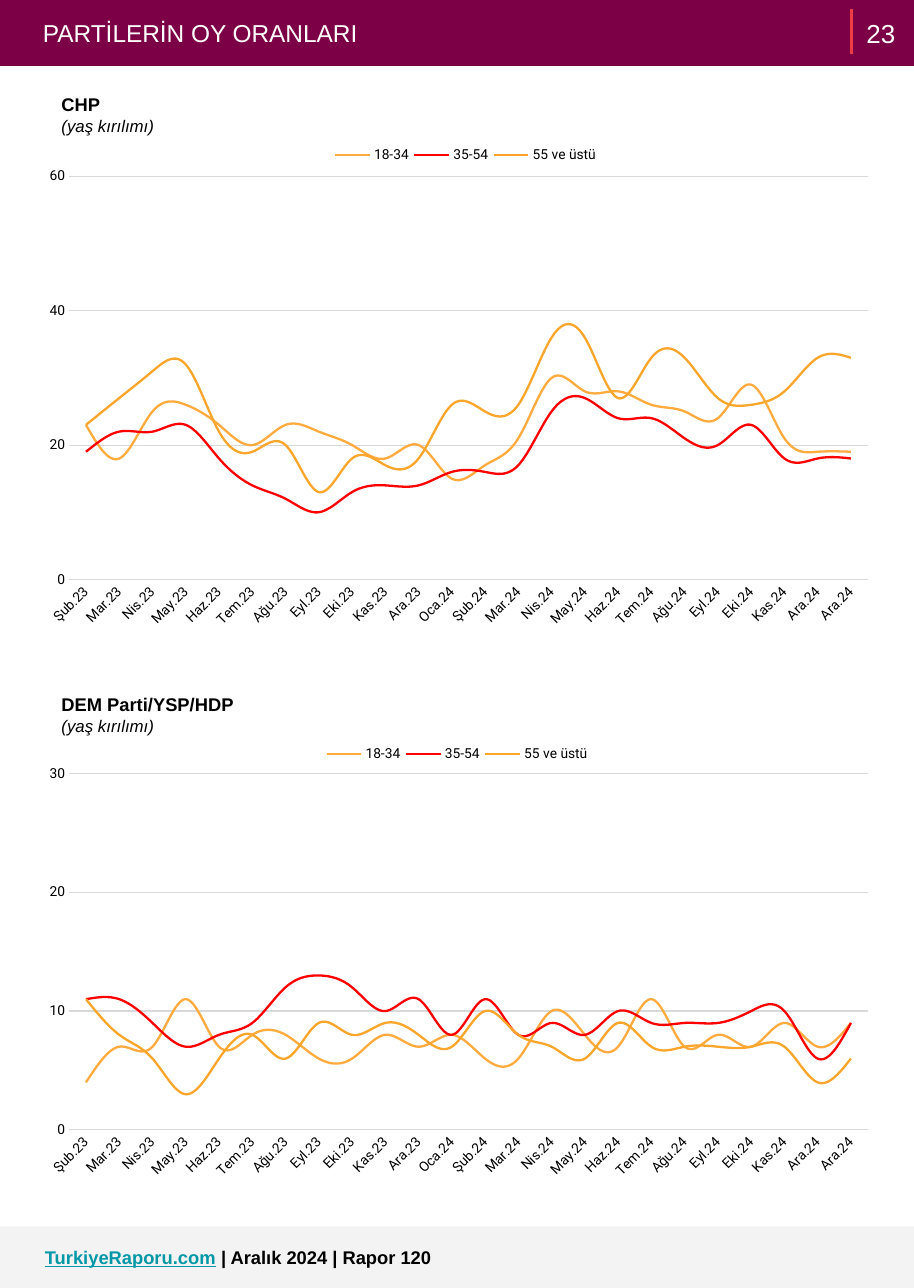
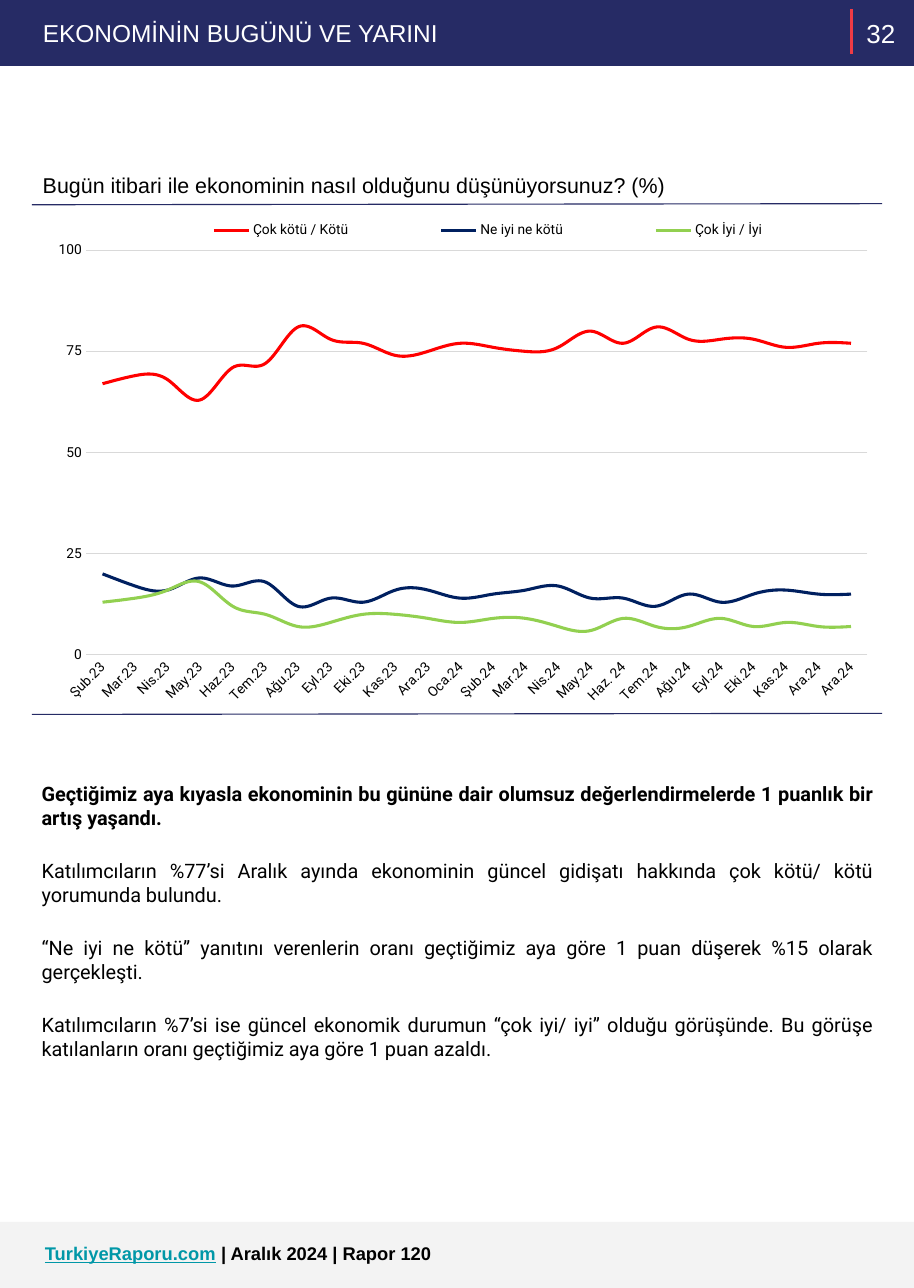
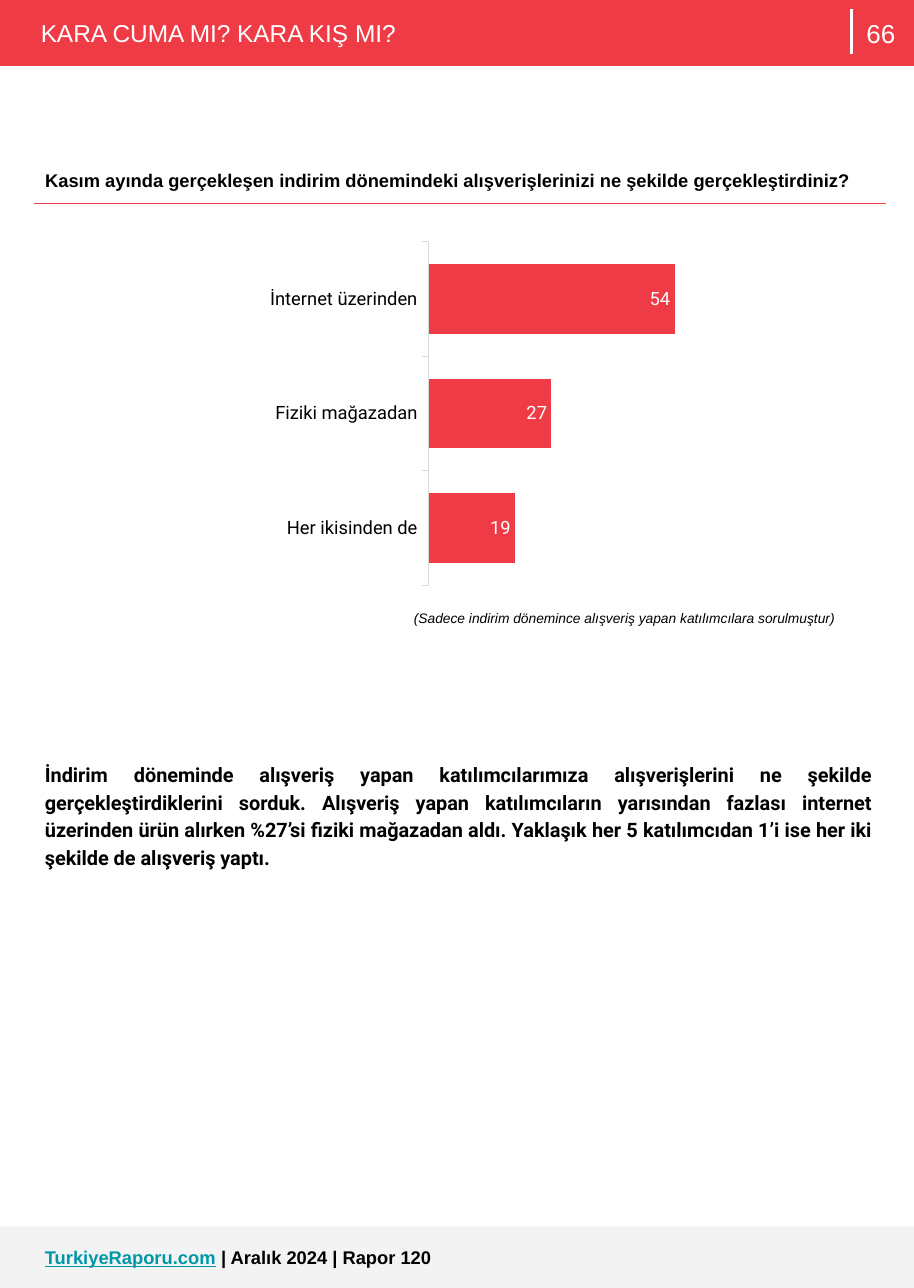
from lxml.etree import SubElement
from pptx import Presentation
from pptx.chart.data import CategoryChartData
from pptx.dml.color import RGBColor
from pptx.enum.chart import (XL_CHART_TYPE, XL_LABEL_POSITION,
                             XL_LEGEND_POSITION, XL_TICK_MARK)
from pptx.enum.shapes import MSO_CONNECTOR, MSO_SHAPE
from pptx.enum.text import MSO_ANCHOR, MSO_AUTO_SIZE, PP_ALIGN
from pptx.oxml.ns import qn
from pptx.util import Inches, Pt

WIDE, HIGH = 8.3, 11.7
BARE = "{2D5ABB26-0587-4C30-8999-92F81FD0307C}"  # table style without grid
HEX = {"plum": "7B0046", "navy": "262B65", "coral": "EF3B45",
       "white": "FFFFFF", "black": "000000", "pale": "F3F3F3",
       "grid": "D9D9D9", "teal": "0097A7", "amber": "FFAB40",
       "gold": "FAA62C", "red": "FF0000", "deep": "002060",
       "green": "92D050"}

MONTHS = ("Şub.23 Mar.23 Nis.23 May.23 Haz.23 Tem.23 Ağu.23 Eyl.23 "
          "Eki.23 Kas.23 Ara.23 Oca.24 Şub.24 Mar.24 Nis.24 May.24 "
          "Haz.24 Tem.24 Ağu.24 Eyl.24 Eki.24 Kas.24 Ara.24 Ara.24").split()
ECO_MONTHS = ["Haz. 24" if m == "Haz.24" else m for m in MONTHS]

AGES = [("18-34", "amber"), ("35-54", "red"), ("55 ve üstü", "gold")]
MOODS = [("Çok kötü / Kötü", "red"), ("Ne iyi ne kötü", "deep"),
         ("Çok İyi / İyi", "green")]

PARTIES = [
    dict(name="CHP", top=0.75, at=(0.29, 1.17, 7.72, 5.03), peak=60, step=20,
         plot=(0.044, 0.086, 0.939, 0.728), key=(0.35, 0.022, 0.32, 0.05),
         rows=[
             [23, 18, 25, 26, 23, 20, 23, 22, 20, 18, 20, 15,
              17, 21, 30, 28, 28, 26, 25, 24, 29, 21, 19, 19],
             [19, 22, 22, 23, 18, 14, 12, 10, 13, 14, 14, 16,
              16, 17, 25, 27, 24, 24, 21, 20, 23, 18, 18, 18],
             [23, 27, 31, 32, 22, 19, 20, 13, 18, 17, 18, 26,
              25, 26, 36, 36, 27, 33, 33, 27, 26, 28, 33, 33]]),
    dict(name="DEM Parti/YSP/HDP", top=6.2, at=(0.29, 6.63, 7.72, 4.51),
         peak=30, step=10,
         plot=(0.044, 0.088, 0.939, 0.718), key=(0.34, 0.024, 0.32, 0.05),
         rows=[
             [4, 7, 7, 11, 7, 8, 8, 6, 6, 8, 7, 8,
              6, 6, 10, 8, 7, 11, 7, 8, 7, 9, 7, 9],
             [11, 11, 9, 7, 8, 9, 12, 13, 12, 10, 11, 8,
              11, 8, 9, 8, 10, 9, 9, 9, 10, 10, 6, 9],
             [11, 8, 6, 3, 6, 8, 6, 9, 8, 9, 8, 7,
              10, 8, 7, 6, 9, 7, 7, 7, 7, 7, 4, 6]]),
]
ECONOMY = dict(
    at=(0.42, 1.88, 7.57, 5.05), peak=100, step=25,
    plot=(0.048, 0.078, 0.937, 0.728), key=(0.095, 0.017, 0.87, 0.05),
    rows=[
        [67, 69, 68, 63, 71, 72, 81, 78, 77, 74, 75, 77,
         76, 75, 76, 80, 77, 81, 78, 78, 78, 76, 77, 77],
        [20, 17, 16, 19, 17, 18, 12, 14, 13, 16, 16, 14,
         15, 16, 17, 14, 14, 12, 15, 13, 15, 16, 15, 15],
        [13, 14, 16, 18, 12, 10, 7, 8, 10, 10, 9, 8,
         9, 9, 7, 6, 9, 7, 7, 9, 7, 8, 7, 7]])
ASK = "Bugün itibari ile ekonominin nasıl olduğunu düşünüyorsunuz? (%)"
NOTES = [
    "Geçtiğimiz aya kıyasla ekonominin bu gününe dair olumsuz "
    "değerlendirmelerde 1 puanlık bir artış yaşandı.",
    "Katılımcıların %77’si Aralık ayında ekonominin güncel gidişatı "
    "hakkında çok kötü/ kötü yorumunda bulundu.",
    "“Ne iyi ne kötü” yanıtını verenlerin oranı geçtiğimiz aya göre "
    "1 puan düşerek %15 olarak gerçekleşti.",
    "Katılımcıların %7’si ise güncel ekonomik durumun “çok iyi/ iyi” olduğu "
    "görüşünde. Bu görüşe katılanların oranı geçtiğimiz aya göre 1 puan "
    "azaldı.",
]
SHOPS = [("İnternet üzerinden", 54), ("Fiziki mağazadan", 27),
         ("Her ikisinden de", 19)]
SHOP_ASK = ("Kasım ayında gerçekleşen indirim dönemindeki alışverişlerinizi "
            "ne şekilde gerçekleştirdiniz?")
SHOP_BASE = ("(Sadece indirim dönemince alışveriş yapan katılımcılara "
             "sorulmuştur)")
SHOP_NOTE = (
    "İndirim döneminde alışveriş yapan katılımcılarımıza alışverişlerini ne "
    "şekilde gerçekleştirdiklerini sorduk. Alışveriş yapan katılımcıların "
    "yarısından fazlası internet üzerinden ürün alırken %27’si fiziki "
    "mağazadan aldı. Yaklaşık her 5 katılımcıdan 1’i ise her iki şekilde de "
    "alışveriş yaptı.")


def rgb(name):
    return RGBColor.from_string(HEX[name])


def box(at):
    return [Inches(v) for v in at]


def style(font, size, color="black", face="Arial", bold=False,
          italic=False, line=False):
    font.size, font.name = Pt(size), face
    font.bold, font.italic, font.underline = bold, italic, line
    font.color.rgb = rgb(color)


def fill(frame, paras, align=PP_ALIGN.LEFT, space=0, lead=None):
    """Write paragraphs, each a list of (text, style) runs."""
    frame.word_wrap = True
    frame.margin_left = frame.margin_right = Inches(0.1)
    frame.margin_top = frame.margin_bottom = Inches(0.1)
    for i, runs in enumerate(paras):
        para = frame.add_paragraph() if i else frame.paragraphs[0]
        para.alignment = align
        if lead:
            para.line_spacing = lead
        if i and space:
            para.space_before = Pt(space)
        for text, look in runs:
            run = para.add_run()
            run.text = text
            style(run.font, **look)


def write(slide, at, paras, anchor=MSO_ANCHOR.TOP, **opts):
    frame = slide.shapes.add_textbox(*box(at)).text_frame
    frame.vertical_anchor = anchor
    fill(frame, paras, **opts)


def band(slide, top, high, color):
    shape = slide.shapes.add_shape(MSO_SHAPE.RECTANGLE,
                                   *box((0, top, WIDE, high)))
    shape.shadow.inherit = False
    shape.fill.solid()
    shape.fill.fore_color.rgb = rgb(color)
    shape.line.fill.background()


def rule(slide, ends, color, width):
    line = slide.shapes.add_connector(MSO_CONNECTOR.STRAIGHT, *box(ends))
    line.line.color.rgb = rgb(color)
    line.line.width = Pt(width)
    SubElement(line._element.spPr, qn("a:effectLst"))


def page(deck, title, number, color, mark="coral", foot=11.14, left=0.29):
    """Add a slide with its header band, title, page number and footer."""
    slide = deck.slides.add_slide(deck.slide_layouts[5])
    band(slide, 0, 0.6, color)
    band(slide, foot, HIGH - foot, "pale")
    rule(slide, (7.73, 0.08, 7.73, 0.49), mark, 2.25)
    head = slide.shapes.title
    slide.shapes._spTree.append(head._element)
    head.left, head.top, head.width, head.height = box((left, 0.06, 7, 0.47))
    head.text_frame.auto_size = MSO_AUTO_SIZE.NONE
    head.text_frame.vertical_anchor = MSO_ANCHOR.TOP
    fill(head.text_frame, [[(title, dict(size=16, color="white"))]])
    write(slide, (7.73, -0.15, 0.54, 0.9),
          [[(number, dict(size=17, color="white"))]],
          anchor=MSO_ANCHOR.MIDDLE, align=PP_ALIGN.CENTER)
    bold = dict(size=12, bold=True)
    write(slide, (0.31, foot + 0.08, 6.96, 0.4), [[
        ("TurkiyeRaporu.com", dict(bold, color="teal", line=True)),
        (" ", dict(bold, color="coral")),
        ("| Aralık 2024 | Rapor 120", bold)]])
    return slide


def place(layout, spot, inner=False):
    """Fill a chart layout element with a manual position."""
    manual = SubElement(layout, qn("c:manualLayout"))
    pairs = [("layoutTarget", "inner")] if inner else []
    pairs += [("xMode", "edge"), ("yMode", "edge")]
    pairs += zip("xywh", spot)
    for tag, val in pairs:
        SubElement(manual, qn("c:" + tag)).set("val", str(val))


def chart(slide, kind, at, cats, rows, plot):
    data = CategoryChartData()
    data.categories = cats
    for name, vals in rows:
        data.add_series(name, vals)
    made = slide.shapes.add_chart(kind, *box(at), data).chart
    made.has_title = made.has_legend = False
    style(made.font, 10, face="Roboto")
    made.plots[0].vary_by_categories = False
    area = made._chartSpace.chart.plotArea
    for old in area.findall(qn("c:layout")):
        area.remove(old)
    layout = SubElement(area, qn("c:layout"))
    area.insert(0, layout)
    place(layout, plot, inner=True)
    axis = made.category_axis
    axis.format.line.color.rgb = rgb("grid")
    axis.format.line.width = Pt(0.75)
    return made


def trend(slide, cats, keys, spec, width):
    rows = [(name, vals) for (name, _), vals in zip(keys, spec["rows"])]
    made = chart(slide, XL_CHART_TYPE.LINE, spec["at"], cats, rows,
                 spec["plot"])
    for line, (_, color) in zip(made.plots[0].series, keys):
        line.smooth = True
        line.format.line.color.rgb = rgb(color)
        line.format.line.width = Pt(width)
    for axis in (made.category_axis, made.value_axis):
        axis.major_tick_mark = axis.minor_tick_mark = XL_TICK_MARK.NONE
        style(axis.tick_labels.font, 9, face="Roboto")
    body = made.category_axis._element.find(qn("c:txPr")).find(qn("a:bodyPr"))
    body.set("rot", "-2700000")
    axis = made.value_axis
    axis.minimum_scale, axis.maximum_scale = 0, spec["peak"]
    axis.major_unit = spec["step"]
    axis.format.line.fill.background()
    grid = axis.major_gridlines.format.line
    grid.color.rgb, grid.width = rgb("grid"), Pt(0.75)
    made.has_legend = True
    legend = made.legend
    legend.position = XL_LEGEND_POSITION.BOTTOM
    legend.include_in_layout = False
    style(legend.font, 9, face="Roboto")
    layout = SubElement(legend._element, qn("c:layout"))
    legend._element.find(qn("c:legendPos")).addnext(layout)
    place(layout, spec["key"])


def votes(deck):
    slide = page(deck, "PARTİLERİN OY ORANLARI", "23", "plum")
    for party in PARTIES:
        write(slide, (0.46, party["top"], 1.97, 0.42), [
            [(party["name"], dict(size=12, bold=True))],
            [("(yaş kırılımı)", dict(size=11, italic=True))]])
        trend(slide, MONTHS, AGES, party, 1.5)


def economy(deck):
    slide = page(deck, "EKONOMİNİN BUGÜNÜ VE YARINI", "32", "navy", foot=11.1)
    write(slide, (0.29, 1.43, 7.73, 0.44), [[(ASK, dict(size=14))]],
          lead=1.15)
    for top in (1.86, 6.49):
        rule(slide, (0.29, top, 8.01, top - 0.01), "navy", 0.75)
    trend(slide, ECO_MONTHS, MOODS, ECONOMY, 2)
    paras = [[(text, dict(size=13, face="Roboto", bold=i == 0))]
             for i, text in enumerate(NOTES)]
    write(slide, (0.28, 7, 7.74, 3.52), paras, align=PP_ALIGN.JUSTIFY,
          space=19.2)


def ask_table(slide):
    left, top, wide, high = 0.31, 1.45, 7.74, 0.4
    table = slide.shapes.add_table(1, 1, *box((left, top, wide, high))).table
    table.first_row = table.horz_banding = False
    table._tbl.tblPr.find(qn("a:tableStyleId")).text = BARE
    cell = table.cell(0, 0)
    cell.fill.solid()
    cell.fill.fore_color.rgb = rgb("white")
    fill(cell.text_frame, [[(SHOP_ASK, dict(size=12, bold=True))]])
    cell.margin_left = cell.margin_right = Inches(0.1)
    cell.margin_top = cell.margin_bottom = Inches(0.1)
    base = top + high
    rule(slide, (left, base, left + wide, base), "coral", 1)


def shopping(deck):
    slide = page(deck, "KARA CUMA MI? KARA KIŞ MI?", "66", "coral",
                 mark="white", left=0.27)
    names, vals = zip(*SHOPS)
    made = chart(slide, XL_CHART_TYPE.BAR_CLUSTERED, (0.28, 2.05, 7.75, 3.35),
                 names, [("Series 1", vals)], (0.466, 0.044, 0.534, 0.931))
    axis = made.category_axis
    axis.reverse_order = True
    axis.major_tick_mark = XL_TICK_MARK.OUTSIDE
    style(axis.tick_labels.font, 12, face="Roboto")
    axis = made.value_axis
    axis.minimum_scale, axis.maximum_scale = 0, 100
    axis.has_major_gridlines = axis.visible = False
    plot = made.plots[0]
    plot.gap_width = 65
    bars = plot.series[0]
    bars.format.fill.solid()
    bars.format.fill.fore_color.rgb = rgb("coral")
    labels = bars.data_labels
    labels.show_value = True
    labels.position = XL_LABEL_POSITION.INSIDE_END
    labels.number_format, labels.number_format_is_linked = "0", False
    style(labels.font, 12, "white", "Roboto")
    ask_table(slide)
    write(slide, (3.66, 5.46, 4.61, 0.35),
          [[(SHOP_BASE, dict(size=9, italic=True))]])
    write(slide, (0.31, 6.8, 7.7, 3.8),
          [[(SHOP_NOTE, dict(size=13, face="Roboto", bold=True))]],
          align=PP_ALIGN.JUSTIFY, lead=1.15)


def main():
    deck = Presentation()
    deck.slide_width, deck.slide_height = Inches(WIDE), Inches(HIGH)
    for build in (votes, economy, shopping):
        build(deck)
    deck.save("out.pptx")


if __name__ == "__main__":
    main()
